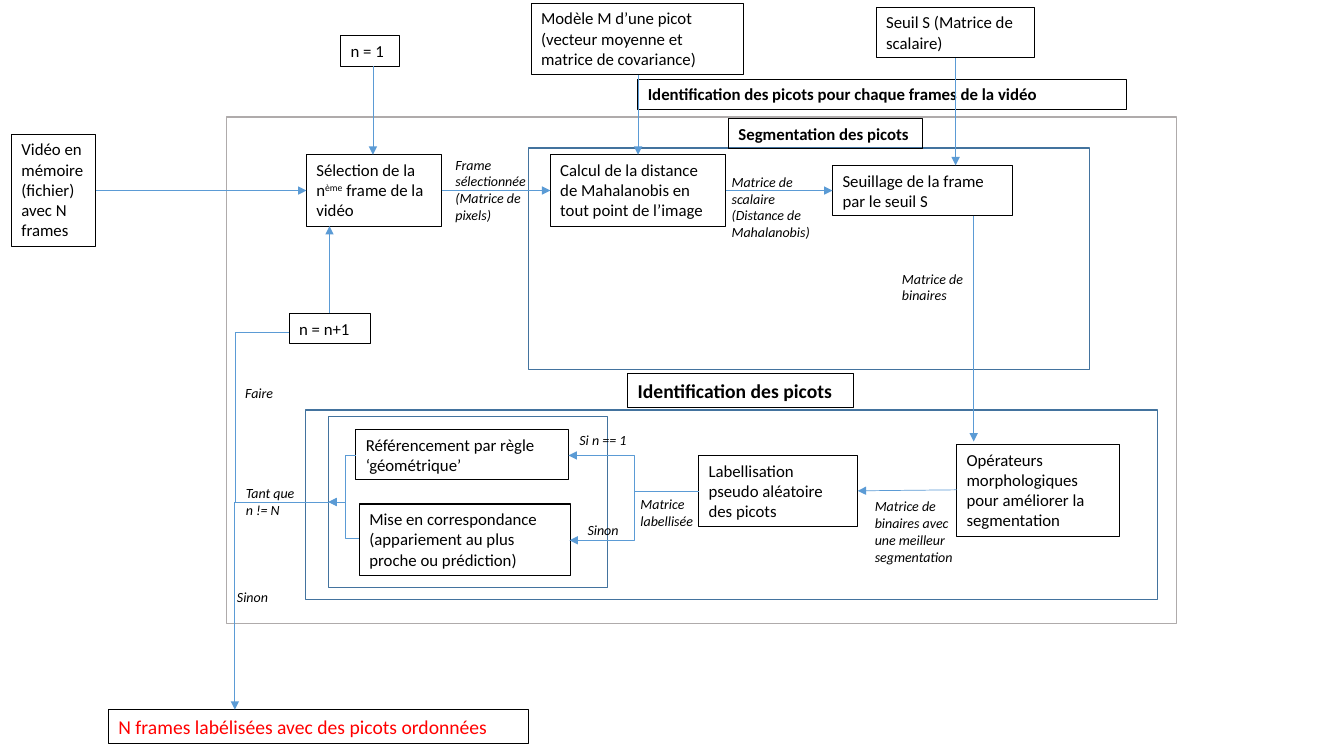
"""Build the flow chart slide for identifying picots in a video."""
from dataclasses import dataclass

import pptx
import pptx.dml.color
import pptx.enum.shapes
import pptx.enum.text
import pptx.oxml
import pptx.util
from pptx.util import Pt

BLACK = pptx.dml.color.RGBColor(0x00, 0x00, 0x00)
WHITE = pptx.dml.color.RGBColor(0xFF, 0xFF, 0xFF)
RED = pptx.dml.color.RGBColor(0xFF, 0x00, 0x00)
GREY = pptx.dml.color.RGBColor(0xAF, 0xAB, 0xAB)
DARK_BLUE = pptx.dml.color.RGBColor(0x43, 0x73, 0x9E)
BLUE = pptx.dml.color.RGBColor(0x5B, 0x9B, 0xD5)
KINDS = pptx.enum.shapes.MSO_CONNECTOR
RECTANGLE = pptx.enum.shapes.MSO_SHAPE.RECTANGLE
NAMESPACE = 'xmlns:a="http://schemas.openxmlformats.org/drawingml/2006/main"'

TOP_ROW = 136.1
LOOP_X = 167.8
LOOP_Y = 358.6
LABEL_Y = 350.9
FORK_X = 499
MERGE_X = 247


@dataclass(frozen=True)
class Frame:
    """Filled area that groups steps."""
    left: float
    top: float
    width: float
    height: float
    color: pptx.dml.color.RGBColor = DARK_BLUE


@dataclass(frozen=True)
class Step:
    """Outlined text box; carets enclose superscript."""
    text: str
    left: float
    top: float
    width: float
    height: float
    size: float = 12
    bold: bool = False
    color: pptx.dml.color.RGBColor = BLACK


@dataclass(frozen=True)
class Label:
    """Italic note beside an arrow."""
    text: str
    left: float
    top: float
    width: float
    height: float


@dataclass(frozen=True)
class Wire:
    """Connector, straight unless it has a bend position or a corner."""
    start: tuple[float, float]
    end: tuple[float, float]
    bend_x: float | None = None
    corner: bool = False
    arrow: bool = True


FRAMES = [
    Frame(162, 83.5, 678.3, 362, GREY),
    Frame(377.4, 105.8, 401, 158.4),
    Frame(218.2, 293, 608.4, 135.4),
    Frame(234.7, 297.4, 199.4, 122.4),
]

STEPS = [
    Step("Vidéo en mémoire\n(fichier) avec N frames", 8.2, 95.8, 60, 80),
    Step("Modèle M d’une picot (vecteur moyenne et matrice de covariance)", 379.4, 2.2, 152, 51),
    Step("Sélection de la n^ème^ frame de la vidéo", 218.9, 110.5, 96.5, 51),
    Step("Calcul de la distance de Mahalanobis en tout point de l’image", 393.1, 110.5, 125.3, 51),
    Step("Seuillage de la frame par le seuil S", 594.7, 118.1, 128.2, 36),
    Step("Opérateurs morphologiques pour améliorer la segmentation", 683.3, 317.5, 116.6, 65.4),
    Step("Labellisation pseudo aléatoire des picots", 499, 325.4, 113.4, 51),
    Step("Référencement par règle ‘géométrique’", 254.2, 306.7, 152, 36),
    Step("Mise en correspondance (appariement au plus proche ou prédiction)", 256.7, 360, 150.5, 51),
    Step("n = 1", 243.4, 25.4, 42, 21.8),
    Step("n = n+1", 206.6, 223.9, 58, 21.8),
    Step("Seuil S (Matrice de scalaire)", 625.9, 5.2, 113, 36),
    Step("N frames labélisées avec des picots ordonnées", 77.5, 506.9, 300, 24.2, 14, color=RED),
    Step("Identification des picots pour chaque frames de la vidéo", 455.6, 56.5, 349.2, 21.8, bold=True),
    Step("Segmentation des picots", 520.4, 84.5, 138.9, 21.8, bold=True),
    Step("Identification des picots", 448.4, 267.1, 161.3, 24.2, 14, bold=True),
]

WIRES = [
    Wire((68.4, TOP_ROW), (218.9, TOP_ROW)),
    Wire((315.4, TOP_ROW), (393.1, TOP_ROW)),
    Wire((518.4, TOP_ROW), (594.7, TOP_ROW)),
    Wire((695.5, 154.1), (695.5, 315.4)),
    Wire((683.3, 349.9), (612.7, 350.6)),
    Wire((FORK_X, LABEL_Y), (406.1, 325.4), 452.9),
    Wire((FORK_X, LABEL_Y), (406.8, 385.9), 452.9),
    Wire((254.2, 325.4), (234.7, LOOP_Y), MERGE_X),
    Wire((256.3, 384.5), (234.7, LOOP_Y), MERGE_X),
    Wire((234.7, LOOP_Y), (LOOP_X, 506.9), corner=True),
    Wire((LOOP_X, LOOP_Y), (LOOP_X, 237.6), arrow=False),
    Wire((LOOP_X, 237.6), (206.6, 237.6), arrow=False),
    Wire((266.4, 47), (266.4, 110.5)),
    Wire((235.4, 223.9), (235.4, 161.5)),
    Wire((455.8, 53.3), (455.8, 110.5)),
    Wire((682.6, 41.5), (682.6, 118.1)),
]

LABELS = [
    Label("Si n == 1", 406.8, 304.6, 64.8, 19.4),
    Label("Sinon", 412.6, 368.9, 51, 19.4),
    Label("Tant que n != N", 168.5, 342.7, 54.7, 31.5),
    Label("Faire", 168, 271.4, 39, 19.4),
    Label("Sinon", 162.2, 416.9, 39.6, 19.4),
    Label("Frame sélectionnée (Matrice de pixels)", 318.2, 108, 68.4, 55.7),
    Label("Matrice de scalaire (Distance de Mahalanobis)", 515.5, 120.2, 72.7, 55.7),
    Label("Matrice de binaires", 637.2, 189.4, 74.9, 31.5),
    Label("Matrice de binaires avec une meilleur segmentation", 617.8, 352.1, 79.2, 55.7),
    Label("Matrice labellisée", 450.4, 350.3, 53.3, 31.5),
]


def place(item: Frame | Step | Label) -> list[pptx.util.Length]:
    """Return the item's position and size as lengths."""
    return [Pt(value) for value in (item.left, item.top, item.width, item.height)]


def draw_rectangle(page, item: Frame | Step, color, weight: float):
    """Add an unfilled rectangle with the given outline."""
    box = page.shapes.add_shape(RECTANGLE, *place(item))
    box.shadow.inherit = False
    box.fill.background()
    box.line.color.rgb = color
    box.line.width = Pt(weight)
    return box


def write(box, text: str, size: float, color=BLACK, bold=False, italic=False) -> None:
    """Write paragraphs run by run, raising spans between carets."""
    body = box.text_frame
    body.word_wrap = True
    body.auto_size = pptx.enum.text.MSO_AUTO_SIZE.SHAPE_TO_FIT_TEXT
    body.vertical_anchor = pptx.enum.text.MSO_ANCHOR.TOP
    for number, line in enumerate(text.split("\n")):
        para = body.add_paragraph() if number else body.paragraphs[0]
        para.alignment = pptx.enum.text.PP_ALIGN.LEFT
        for position, part in enumerate(line.split("^")):
            span = para.add_run()
            span.text = part
            span.font.name = "Calibri"
            span.font.size = Pt(size)
            span.font.bold = bold
            span.font.italic = italic
            span.font.color.rgb = color
            if position % 2:
                span.font._element.set("baseline", "30000")


def draw_wire(page, wire: Wire) -> None:
    """Add a connector with its route and arrowhead."""
    elbow = wire.corner or wire.bend_x is not None
    kind = KINDS.ELBOW if elbow else KINDS.STRAIGHT
    ends = [Pt(value) for value in (*wire.start, *wire.end)]
    connector = page.shapes.add_connector(kind, *ends)
    connector.line.color.rgb = BLUE
    connector.line.width = Pt(0.5)
    properties = connector._element.spPr
    geometry = properties.prstGeom
    if wire.corner:
        geometry.set("prst", "bentConnector2")
    if wire.bend_x is not None:
        share = (wire.bend_x - wire.start[0]) / (wire.end[0] - wire.start[0])
        guide = f'<a:gd {NAMESPACE} name="adj1" fmla="val {round(share * 100000)}"/>'
        geometry.get_or_add_avLst().append(pptx.oxml.parse_xml(guide))
    if wire.arrow:
        head = f'<a:tailEnd {NAMESPACE} type="triangle"/>'
        connector.line._get_or_add_ln().append(pptx.oxml.parse_xml(head))
    properties.append(pptx.oxml.parse_xml(f"<a:effectLst {NAMESPACE}/>"))


def main() -> None:
    """Build and save the deck."""
    deck = pptx.Presentation()
    deck.slide_width, deck.slide_height = Pt(960), Pt(540)
    page = deck.slides.add_slide(deck.slide_layouts[6])
    for frame in FRAMES:
        box = draw_rectangle(page, frame, frame.color, 1)
        box.fill.solid()
        box.fill.fore_color.rgb = WHITE
    for step in STEPS:
        box = draw_rectangle(page, step, BLACK, 0.75)
        write(box, step.text, step.size, step.color, bold=step.bold)
    for wire in WIRES:
        draw_wire(page, wire)
    for label in LABELS:
        write(page.shapes.add_textbox(*place(label)), label.text, 10, italic=True)
    deck.save("out.pptx")


main()
